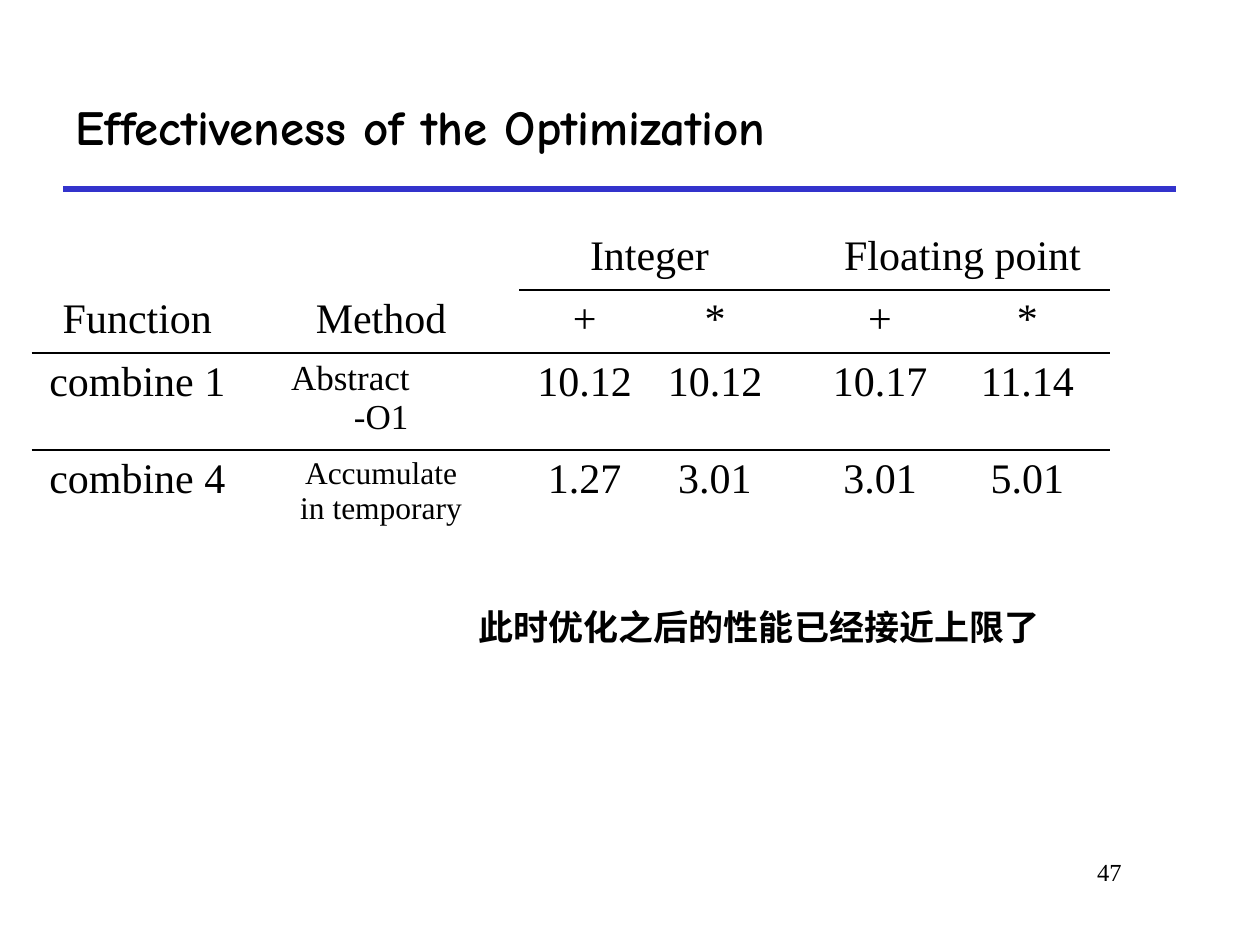
from lxml.etree import SubElement
from pptx import Presentation
from pptx.dml.color import RGBColor
from pptx.enum.shapes import MSO_CONNECTOR
from pptx.enum.text import MSO_ANCHOR, PP_ALIGN
from pptx.oxml.ns import qn
from pptx.util import Inches, Pt

COLORS = {"text": "000000", "rule": "3333CC"}
TITLE_FONT, BODY_FONT = "Comic Neue", "Times New Roman"
NO_STYLE = "{2D5ABB26-0587-4C30-8999-92F81FD0307C}"

TITLE = "Effectiveness of the Optimization"
REMARK = "此时优化之后的性能已经接近上限了"
PAGE_NUMBER = "47"

COLUMN_WIDTHS = [1.68, 0.28, 1.63, 0.28, 1.04, 1.03, 0.28, 1.03, 1.31]
ROW_HEIGHTS = [0.5, 0.5, 0.77, 0.7]
ROWS = [
    ["", "", "", "", "Integer", "", "", "Floating point", ""],
    ["Function", "", "Method", "", "+", "*", "", "+", "*"],
    ["combine 1", "", "Abstract\n-O1", "", "10.12", "10.12", "", "10.17", "11.14"],
    ["combine 4", "", "Accumulate in temporary", "", "1.27", "3.01", "", "3.01", "5.01"],
]
METHOD_SIZES = {(2, 2): 20, (3, 2): 18}
GROUP_COLUMNS = [4, 7]
RULE_STARTS = {0: 4, 1: 0}


def write_text(frame, text, font=BODY_FONT, size=24, bold=False,
               align=PP_ALIGN.LEFT, anchor=MSO_ANCHOR.TOP, wrap=True):
    frame.word_wrap = wrap
    frame.vertical_anchor = anchor
    frame.text = text
    for paragraph in frame.paragraphs:
        paragraph.alignment = align
        paragraph.font.size = Pt(size)
        for run in paragraph.runs:
            run.font.name = font
            run.font.size = Pt(size)
            run.font.bold = bold
            run.font.color.rgb = RGBColor.from_string(COLORS["text"])


def add_text(slide, left, top, width, height, text, **text_format):
    box = slide.shapes.add_textbox(Inches(left), Inches(top), Inches(width), Inches(height))
    write_text(box.text_frame, text, **text_format)


def add_border(cell, side):
    line = SubElement(cell._tc.get_or_add_tcPr(), qn(f"a:{side}"), w=str(Pt(1)))
    fill = SubElement(line, qn("a:solidFill"))
    SubElement(fill, qn("a:srgbClr"), val=COLORS["text"])


def add_title_rule(slide):
    rule = slide.shapes.add_connector(
        MSO_CONNECTOR.STRAIGHT, Inches(0.5), Inches(1.5), Inches(9.33), Inches(1.5))
    rule.line.color.rgb = RGBColor.from_string(COLORS["rule"])
    rule.line.width = Pt(3)
    SubElement(rule._element.spPr, qn("a:effectLst"))


def add_results_table(slide):
    frame = slide.shapes.add_table(
        len(ROWS), len(COLUMN_WIDTHS), Inches(0.25), Inches(1.8),
        Inches(sum(COLUMN_WIDTHS)), Inches(sum(ROW_HEIGHTS)))
    table = frame.table
    table.first_row = table.horz_banding = False
    table._tbl.tblPr.find(qn("a:tableStyleId")).text = NO_STYLE
    for column, width in zip(table.columns, COLUMN_WIDTHS):
        column.width = Inches(width)
    for row, height in zip(table.rows, ROW_HEIGHTS):
        row.height = Inches(height)
    for column in GROUP_COLUMNS:
        table.cell(0, column).merge(table.cell(0, column + 1))
    for row, texts in enumerate(ROWS):
        for column, text in enumerate(texts):
            cell = table.cell(row, column)
            write_text(cell.text_frame, text, align=PP_ALIGN.CENTER,
                       size=METHOD_SIZES.get((row, column), 24))
            for side, ruled_row in (("lnT", row - 1), ("lnB", row)):
                if column >= RULE_STARTS.get(ruled_row, len(texts)):
                    add_border(cell, side)
            cell.fill.background()
    table.cell(2, 2).text_frame.paragraphs[0].alignment = PP_ALIGN.LEFT


def main():
    """Build the slide on the measured effect of the optimization."""
    presentation = Presentation()
    presentation.slide_width, presentation.slide_height = Inches(10), Inches(7.5)
    slide = presentation.slides.add_slide(presentation.slide_layouts[6])
    add_title_rule(slide)
    add_text(slide, 7.58, 6.75, 1.42, 0.5, PAGE_NUMBER, size=14, align=PP_ALIGN.RIGHT)
    add_text(slide, 0.5, 0.5, 8.83, 1, TITLE, font=TITLE_FONT, size=28, bold=True,
             anchor=MSO_ANCHOR.MIDDLE)
    add_results_table(slide)
    add_text(slide, 3.7, 4.76, 4.67, 0.44, REMARK, font=TITLE_FONT, size=20, bold=True,
             wrap=False)
    presentation.save("out.pptx")


if __name__ == "__main__":
    main()
